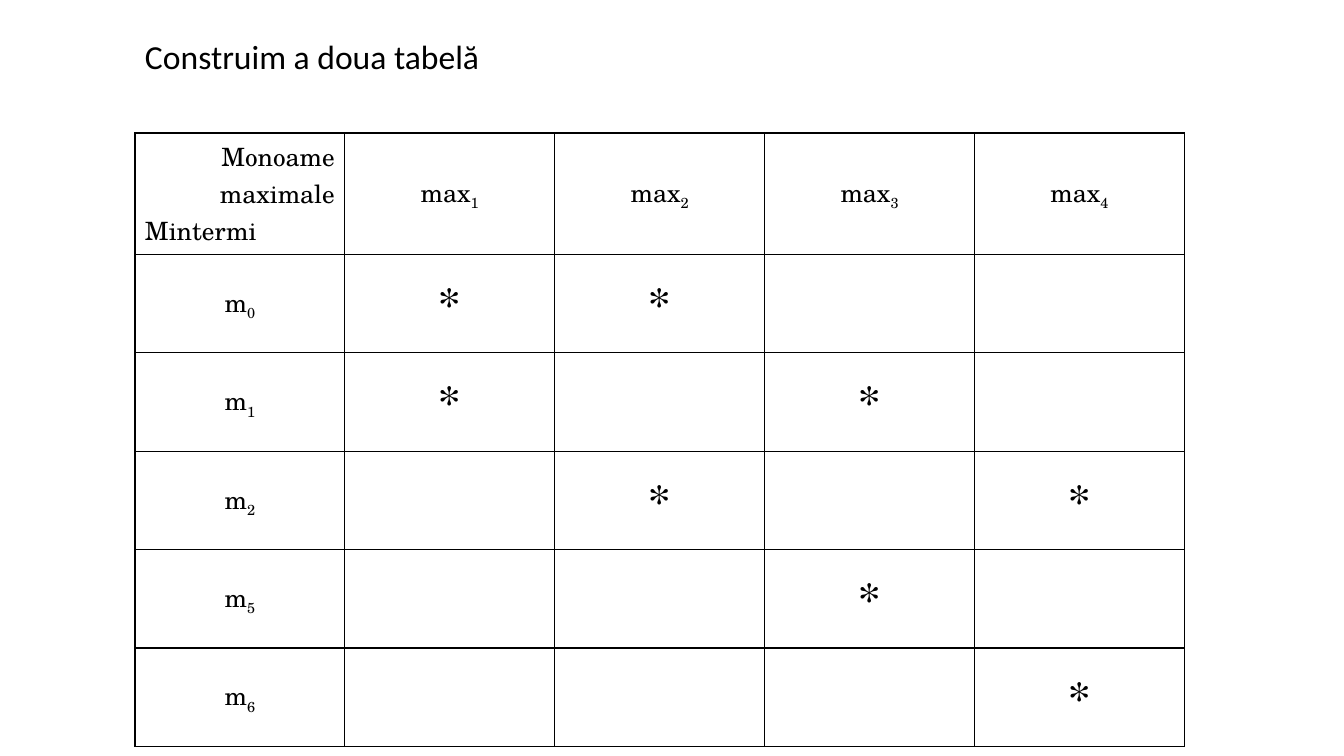
from lxml import etree
from pptx import Presentation
from pptx.dml.color import RGBColor
from pptx.enum.text import MSO_ANCHOR, MSO_AUTO_SIZE, PP_ALIGN
from pptx.oxml.ns import qn
from pptx.util import Cm, Pt

LEFT, MID, RIGHT = PP_ALIGN.LEFT, PP_ALIGN.CENTER, PP_ALIGN.RIGHT
MIDDLE, TOP = MSO_ANCHOR.MIDDLE, MSO_ANCHOR.TOP
GROW = MSO_AUTO_SIZE.SHAPE_TO_FIT_TEXT

# Content
TITLE = "Construim a doua tabelă"
CORNER = [("Monoame", RIGHT), ("maximale", RIGHT), ("Mintermi", LEFT)]
MAXES = ["1", "2", "3", "4"]
COVERS = {  # minterm: maximal monomials that cover it
    "0": ["1", "2"],
    "1": ["1", "3"],
    "2": ["2", "4"],
    "5": ["3"],
    "6": ["4"],
}
COLORS = {"ink": "000000"}
FONTS = {"title": "Calibri", "table": "TeX Gyre Schola"}

# Layout
X, Y = Cm(3.4), Cm(3.35)
COL, HEAD, ROW = Cm(5.29), Cm(3.06), Cm(2.48)
SIDES = ["a:lnL", "a:lnR", "a:lnT", "a:lnB"]


def style(run, size, font):
    run.font.size = Pt(size)
    run.font.name = font
    run.font.color.rgb = RGBColor.from_string(COLORS["ink"])


def frame(cell):
    cell.fill.background()
    props = cell._tc.get_or_add_tcPr()
    for i, side in enumerate(SIDES):
        line = etree.Element(qn(side), w=str(Pt(1)))
        fill = etree.SubElement(line, qn("a:solidFill"))
        etree.SubElement(fill, qn("a:srgbClr"), val=COLORS["ink"])
        props.insert(i, line)


def write(cell, lines, size=18, sub=""):
    cell.text_frame.text = "\n".join(text for text, _ in lines)
    for par, (_, align) in zip(cell.text_frame.paragraphs, lines):
        par.alignment = align
        if sub:
            low = par.add_run()
            low.text = sub
            low._r.get_or_add_rPr().set("baseline", "-25000")
        for run in par.runs:
            style(run, size, FONTS["table"])


deck = Presentation()
deck.slide_width, deck.slide_height = Cm(33.87), Cm(19.05)
slide = deck.slides.add_slide(deck.slide_layouts[5])

# Title
title = slide.shapes.title
title.left, title.top, title.width, title.height = X, Cm(0.78), Cm(27.15), Cm(1.28)
box = title.text_frame
box.text = TITLE
box.word_wrap = True
box.auto_size = GROW
box.vertical_anchor = TOP
box.paragraphs[0].alignment = LEFT
style(box.paragraphs[0].runs[0], 24, FONTS["title"])

# Table grid, with a taller heading row
heights = [HEAD] + [ROW] * len(COVERS)
cols = len(MAXES) + 1
grid = slide.shapes.add_table(len(heights), cols, X, Y, COL * cols, sum(heights)).table
grid.first_row = grid.horz_banding = False
for col in grid.columns:
    col.width = COL
for row, height in zip(grid.rows, heights):
    row.height = height
for cell in grid.iter_cells():
    frame(cell)
    cell.vertical_anchor = MIDDLE

# Headings and marks
write(grid.cell(0, 0), CORNER)
for c, top in enumerate(MAXES, 1):
    write(grid.cell(0, c), [("max", MID)], sub=top)
for r, (term, tops) in enumerate(COVERS.items(), 1):
    write(grid.cell(r, 0), [("m", MID)], sub=term)
    for top in tops:
        write(grid.cell(r, MAXES.index(top) + 1), [("*", MID)], size=32)

deck.save("out.pptx")
